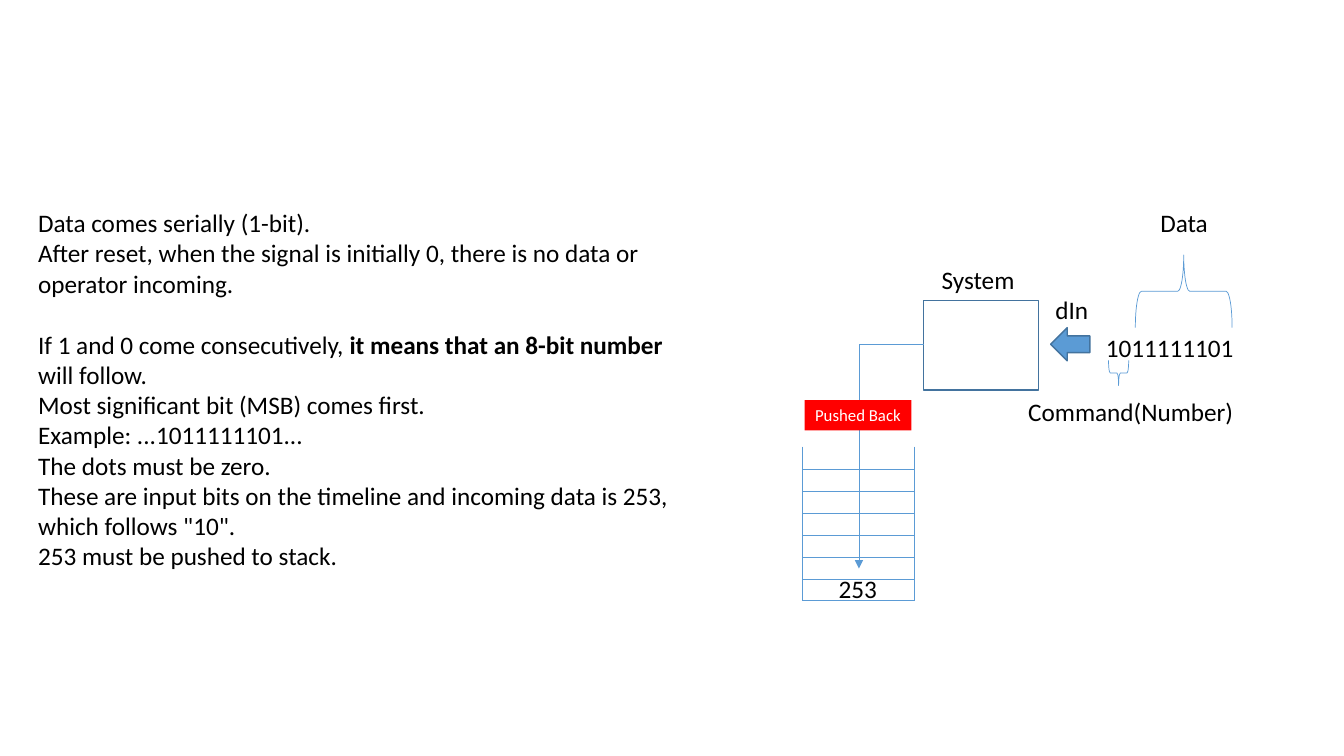
from lxml import etree
from pptx import Presentation
from pptx.dml.color import RGBColor
from pptx.enum.shapes import MSO_CONNECTOR as LINK, MSO_SHAPE as SHAPE
from pptx.enum.text import MSO_ANCHOR, PP_ALIGN
from pptx.oxml.ns import qn
from pptx.util import Inches, Pt

BLUE, EDGE, RED = "5B9BD5", "43739E", "FF0000"
BLACK, WHITE = "000000", "FFFFFF"

EXPLANATION = [
    "Data comes serially (1-bit).",
    "After reset, when the signal is initially 0, there is no data or operator incoming.",
    ("If 1 and 0 come consecutively, ", "it means that an 8-bit number ", "will follow."),
    "Most significant bit (MSB) comes first.",
    "Example: ...1011111101...",
    "The dots must be zero.",
    'These are input bits on the timeline and incoming data is 253, which follows "10".',
    "253 must be pushed to stack.",
]

LABELS = [
    ("253", 8.22, 5.64, 0.59),
    ("1011111101", 10.87, 3.25, 1.48),
    ("System", 9.24, 2.57, 0.99),
    ("Command(Number)", 10.1, 3.88, 2.34),
    ("Data", 11.41, 2.01, 0.84),
    ("dIn", 10.37, 2.87, 0.53),
]


def color(value):
    return RGBColor.from_string(value)


def style(paragraph, size, ink):
    paragraph.font.name = "Calibri"
    paragraph.font.size = Pt(size)
    paragraph.font.color.rgb = color(ink)


def add_label(slide, text, left, top, width):
    label = slide.shapes.add_textbox(Inches(left), Inches(top), Inches(width), Inches(0.4))
    label.text_frame.word_wrap = False
    label.text_frame.text = text
    style(label.text_frame.paragraphs[0], 18, BLACK)


def add_explanation(slide):
    explanation = slide.shapes.add_textbox(Inches(0.28), Inches(2.01), Inches(6.67), Inches(3.74))
    frame = explanation.text_frame
    frame.word_wrap = True
    for index, content in enumerate(EXPLANATION):
        paragraph = frame.add_paragraph() if index else frame.paragraphs[0]
        style(paragraph, 18, BLACK)
        if isinstance(content, str):
            paragraph.text = content
        else:
            for part in content:
                paragraph.add_run().text = part
            paragraph.runs[1].font.bold = True
            paragraph.space_before = Pt(22)


def add_figure(slide, kind, left, top, width, height, fill=None, line=None, weight=1, rotation=0):
    figure = slide.shapes.add_shape(kind, Inches(left), Inches(top), Inches(width), Inches(height))
    figure.shadow.inherit = False
    figure.rotation = rotation
    if fill:
        figure.fill.solid()
        figure.fill.fore_color.rgb = color(fill)
    else:
        figure.fill.background()
    if line:
        figure.line.color.rgb = color(line)
        figure.line.width = Pt(weight)
    else:
        figure.line.fill.background()
    return figure


def add_link(slide, x1, y1, x2, y2, kind=LINK.STRAIGHT):
    link = slide.shapes.add_connector(kind, Inches(x1), Inches(y1), Inches(x2), Inches(y2))
    link.line.color.rgb = color(BLUE)
    link.line.width = Pt(0.5)
    etree.SubElement(link._element.spPr, qn("a:effectLst"))
    return link


def add_stack(slide):
    left, right, top, bottom = 7.96, 9.07, 4.43, 5.96
    first_row, cells = 4.66, 6
    for x in (left, right):
        add_link(slide, x, top, x, bottom)
    for row in range(cells + 1):
        y = first_row + row * (bottom - first_row) / cells
        add_link(slide, left, y, right, y)


def add_push_arrow(slide):
    push = add_link(slide, 9.16, 3.42, 8.52, 5.64, LINK.ELBOW)
    push._element.spPr.find(qn("a:prstGeom")).set("prst", "bentConnector2")
    etree.SubElement(push.line._get_or_add_ln(), qn("a:tailEnd"), type="triangle")


def add_push_tag(slide):
    tag = add_figure(slide, SHAPE.RECTANGLE, 7.98, 3.97, 1.06, 0.3, fill=RED)
    frame = tag.text_frame
    frame.word_wrap = False
    frame.vertical_anchor = MSO_ANCHOR.MIDDLE
    frame.text = "Pushed Back"
    frame.paragraphs[0].alignment = PP_ALIGN.CENTER
    style(frame.paragraphs[0], 12, WHITE)


def main():
    deck = Presentation()
    deck.slide_width, deck.slide_height = Inches(13.33), Inches(7.5)
    slide = deck.slides.add_slide(deck.slide_layouts[6])
    add_explanation(slide)
    add_stack(slide)
    add_figure(slide, SHAPE.RECTANGLE, 9.16, 2.98, 1.14, 0.89, line=EDGE)
    add_figure(slide, SHAPE.RIGHT_ARROW, 10.42, 3.25, 0.39, 0.33, BLUE, EDGE, rotation=180)
    add_push_arrow(slide)
    add_push_tag(slide)
    add_figure(slide, SHAPE.LEFT_BRACE, 10.97, 3.6, 0.25, 0.2, line=BLUE, weight=0.5, rotation=270)
    add_figure(slide, SHAPE.LEFT_BRACE, 11.38, 2.41, 0.72, 0.96, line=BLUE, weight=0.5, rotation=90)
    for label in LABELS:
        add_label(slide, *label)
    deck.save("out.pptx")


if __name__ == "__main__":
    main()
